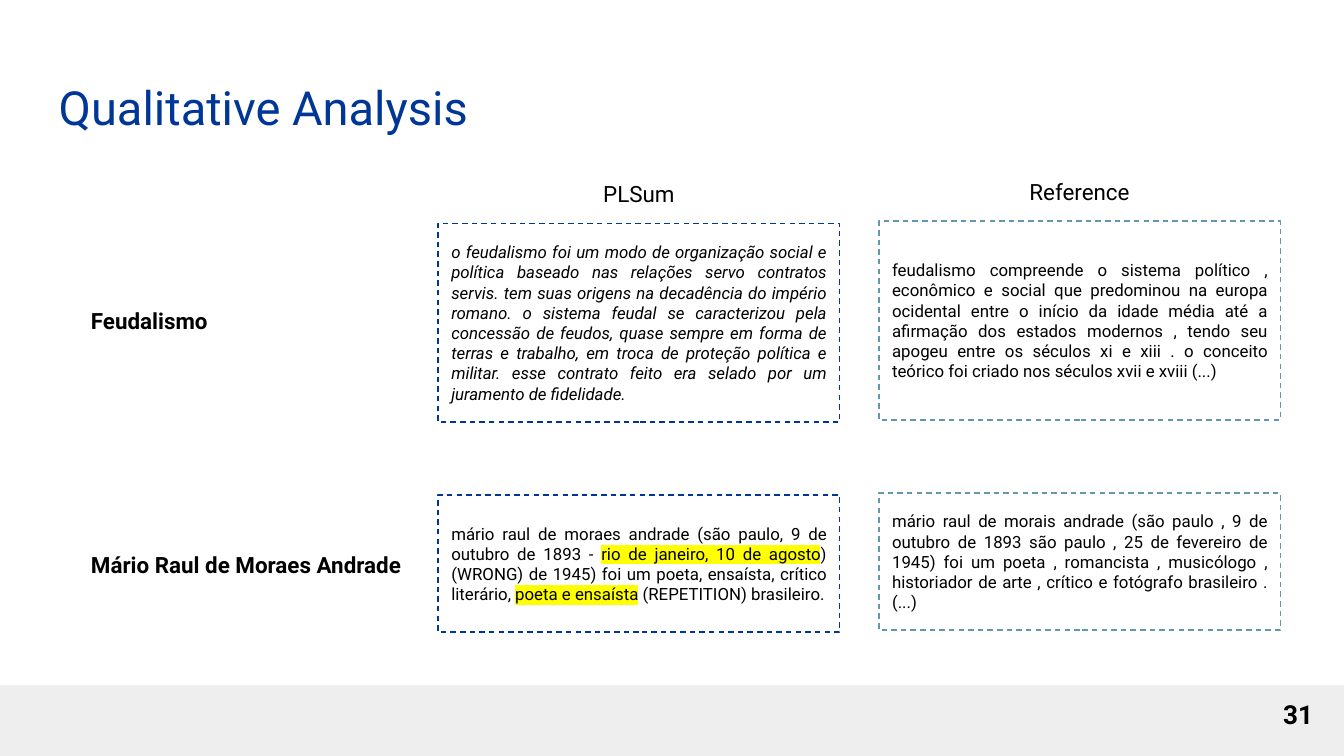
import pptx
import pptx.dml.color
import pptx.enum.dml
import pptx.enum.shapes
import pptx.enum.text
import pptx.oxml.ns
import pptx.util
from lxml import etree

Cm = pptx.util.Cm
Pt = pptx.util.Pt
RGBColor = pptx.dml.color.RGBColor
Align = pptx.enum.text.PP_ALIGN
Anchor = pptx.enum.text.MSO_ANCHOR
RECTANGLE = pptx.enum.shapes.MSO_SHAPE.RECTANGLE

BLUE = RGBColor(0x00, 0x36, 0x95)
TEAL = RGBColor(0x62, 0x98, 0xAE)
BLACK = RGBColor(0x00, 0x00, 0x00)
FOOTER_GREY = RGBColor(0xEE, 0xEE, 0xEE)
YELLOW = RGBColor(0xFF, 0xFF, 0x00)

TITLE = "Qualitative Analysis"
PAGE_NUMBER = "31"

# (heading, outline)
COLUMNS = [("PLSum", BLUE), ("Reference", TEAL)]

ROWS = [
    {
        "topic": "Feudalismo",
        "top": 4.22, "height": 3.76, "topic_top": 5.56,
        "italic_column": 0,
        "summaries": [
            [("o feudalismo foi um modo de organização social e política baseado nas "
              "relações servo contratos servis. tem suas origens na decadência do império "
              "romano. o sistema feudal se caracterizou pela concessão de feudos, quase "
              "sempre em forma de terras e trabalho, em troca de proteção política e "
              "militar. esse contrato feito era selado por um juramento de fidelidade.", False)],
            [("feudalismo compreende o sistema político , econômico e social que predominou "
              "na europa ocidental entre o início da idade média até a afirmação dos estados "
              "modernos , tendo seu apogeu entre os séculos xi e xiii . o conceito teórico "
              "foi criado nos séculos xvii e xviii (...)", False)],
        ],
    },
    {
        "topic": "Mário Raul de Moraes Andrade",
        "top": 9.36, "height": 2.59, "topic_top": 10.16,
        "italic_column": None,
        "summaries": [
            [("mário raul de moraes andrade (são paulo, 9 de outubro de 1893 - ", False),
             ("rio de janeiro, 10 de agosto", True),
             (") (WRONG) de 1945) foi um poeta, ensaísta, crítico literário, ", False),
             ("poeta e ensaísta", True),
             (" (REPETITION) brasileiro.", False)],
            [("mário raul de morais andrade (são paulo , 9 de outubro de 1893 são paulo , "
              "25 de fevereiro de 1945) foi um poeta , romancista , musicólogo , historiador "
              "de arte , crítico e fotógrafo brasileiro . (...)", False)],
        ],
    },
]

COLUMN_LEFT, COLUMN_STEP, COLUMN_WIDTH = 8.28, 8.33, 7.59
COLUMN_RISE = 0.04
HEADING_TOP, LABEL_HEIGHT = 3.15, 1.02
TOPIC_LEFT, TOPIC_WIDTH = 1.47, 8.33
FOOTER_TOP, FOOTER_HEIGHT = 12.95, 1.34
INSET = 0.25


def write(shape, pieces, size, align=Align.LEFT, anchor=Anchor.TOP,
          color=BLACK, bold=False, italic=False):
    frame = shape.text_frame
    frame.word_wrap = True
    frame.auto_size = pptx.enum.text.MSO_AUTO_SIZE.NONE
    frame.vertical_anchor = anchor
    frame.margin_left = frame.margin_right = Cm(INSET)
    frame.margin_top = frame.margin_bottom = Cm(INSET)
    paragraph = frame.paragraphs[0]
    paragraph.alignment = align
    font = paragraph.font
    font.name, font.size, font.bold, font.italic = "Roboto", Pt(size), bold, italic
    font.color.rgb = color
    for text, highlighted in pieces:
        run = paragraph.add_run()
        run.text = text
        if highlighted:
            qn = pptx.oxml.ns.qn
            highlight = etree.SubElement(run.font._element, qn("a:highlight"))
            etree.SubElement(highlight, qn("a:srgbClr"), val=str(YELLOW))


def add_label(slide, left, top, width, height, text, size, **style):
    label = slide.shapes.add_textbox(Cm(left), Cm(top), Cm(width), Cm(height))
    write(label, [(text, False)], size, **style)


def add_rectangle(slide, left, top, width, height):
    rectangle = slide.shapes.add_shape(RECTANGLE, Cm(left), Cm(top), Cm(width), Cm(height))
    rectangle.shadow.inherit = False
    return rectangle


def add_summary(slide, left, top, height, pieces, outline, italic):
    summary = add_rectangle(slide, left, top, COLUMN_WIDTH, height)
    summary.fill.background()
    summary.line.color.rgb = outline
    summary.line.width = Pt(0.75)
    summary.line.dash_style = pptx.enum.dml.MSO_LINE.DASH
    write(summary, pieces, 9, align=Align.JUSTIFY, anchor=Anchor.MIDDLE, italic=italic)


def main():
    deck = pptx.Presentation()
    deck.slide_width, deck.slide_height = Cm(25.4), Cm(14.29)
    slide = deck.slides.add_slide(deck.slide_layouts.get_by_name("Title Only"))

    footer = add_rectangle(slide, 0, FOOTER_TOP, 25.4, FOOTER_HEIGHT)
    footer.fill.solid()
    footer.fill.fore_color.rgb = FOOTER_GREY
    footer.line.fill.background()

    title = slide.shapes.title
    title.left, title.top, title.width, title.height = Cm(0.86), Cm(1.24), Cm(23.67), Cm(1.6)
    write(title, [(TITLE, False)], 25.2, color=BLUE)

    for row in ROWS:
        add_label(slide, TOPIC_LEFT, row["topic_top"], TOPIC_WIDTH, LABEL_HEIGHT,
                  row["topic"], 12, bold=True)

    for index, (heading, outline) in enumerate(COLUMNS):
        left = COLUMN_LEFT + index * COLUMN_STEP
        rise = index * COLUMN_RISE
        add_label(slide, left, HEADING_TOP - rise, COLUMN_WIDTH, LABEL_HEIGHT,
                  heading, 12, align=Align.CENTER)
        for row in ROWS:
            add_summary(slide, left, row["top"] - rise, row["height"],
                        row["summaries"][index], outline, row["italic_column"] == index)

    add_label(slide, 23.55, FOOTER_TOP, 1.52, 1.09, PAGE_NUMBER, 14,
              align=Align.RIGHT, anchor=Anchor.MIDDLE, bold=True)
    deck.save("out.pptx")


if __name__ == "__main__":
    main()
